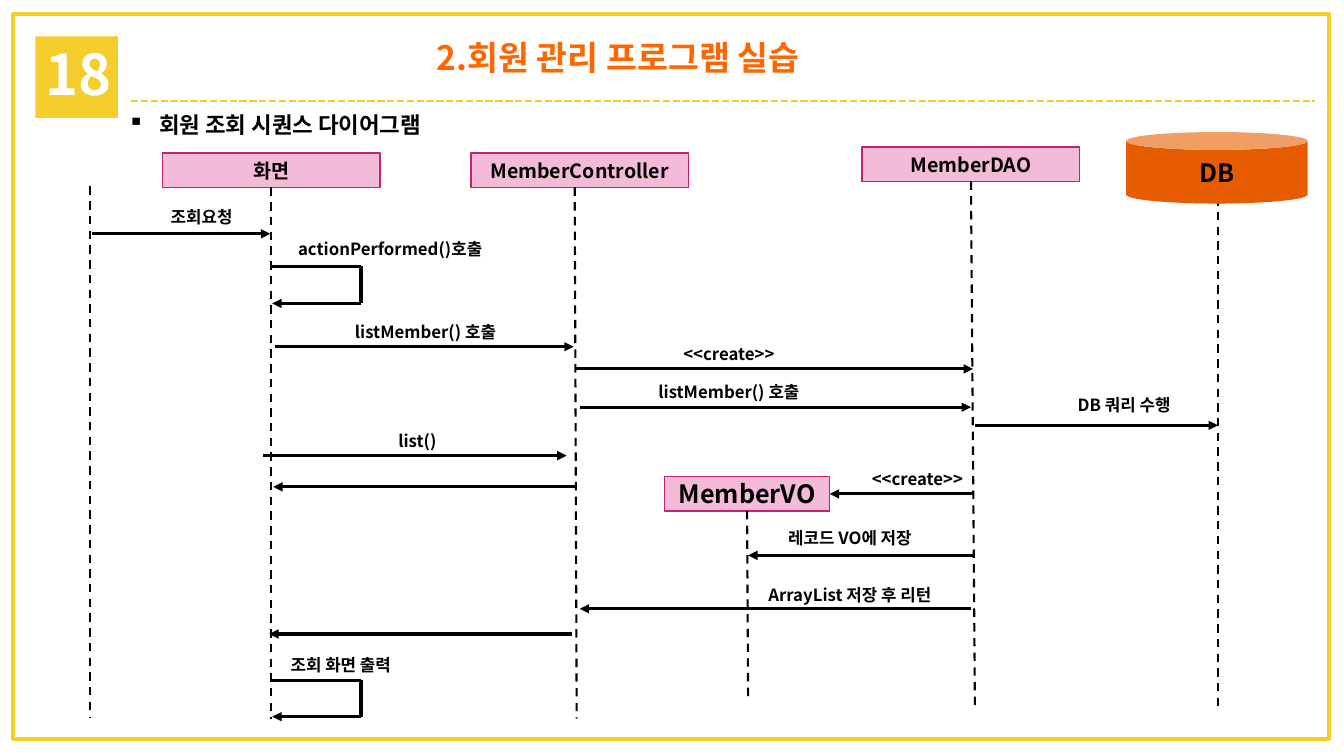
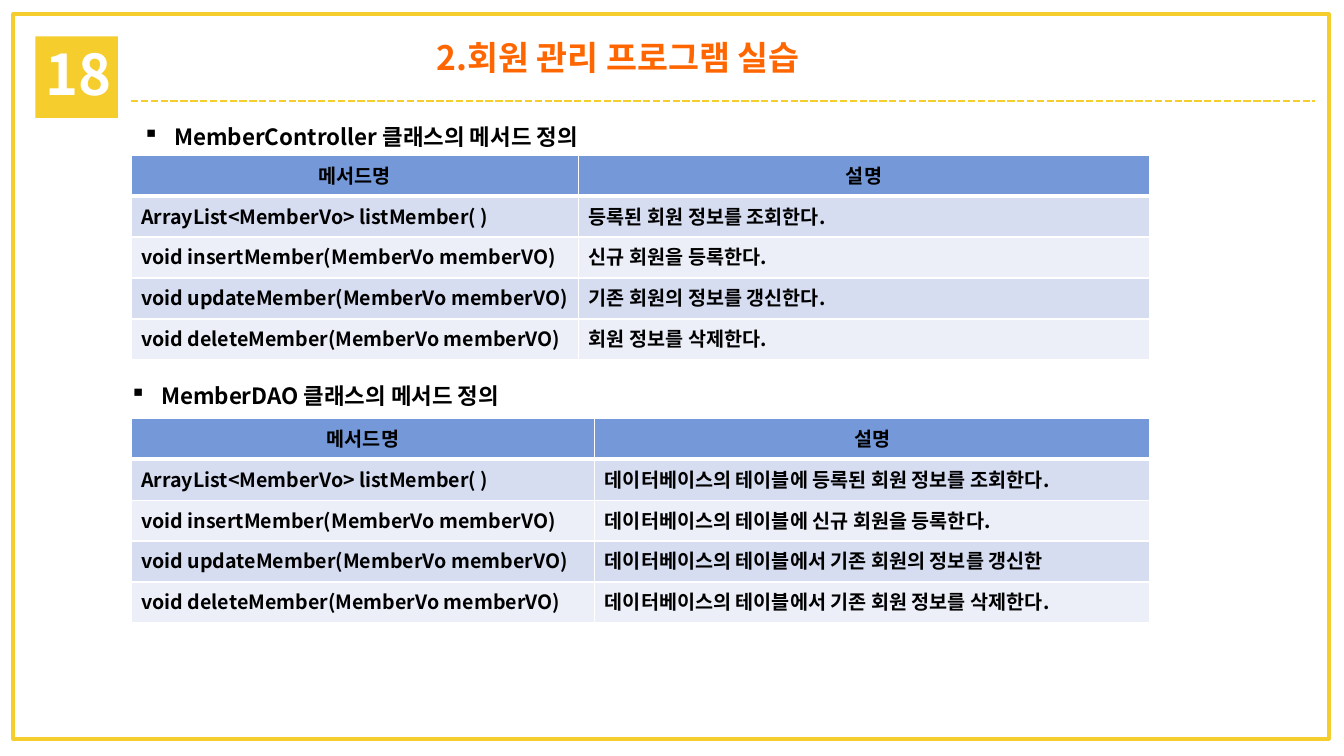
from dataclasses import dataclass

from lxml.etree import SubElement
from pptx import Presentation
from pptx.dml.color import RGBColor
from pptx.enum.dml import MSO_LINE
from pptx.enum.shapes import MSO_CONNECTOR, MSO_SHAPE
from pptx.enum.text import MSO_ANCHOR, MSO_AUTO_SIZE, PP_ALIGN
from pptx.oxml.ns import qn
from pptx.util import Inches, Pt

FONT = "Noto Sans CJK KR"
YELLOW, ORANGE, BLACK, WHITE = "F5CD2D", "FF6600", "000000", "FFFFFF"
PINK, MAGENTA, DB_ORANGE = "F3BBD7", "BF2371", "E75C01"
HEADER_BLUE, BAND_DARK, BAND_LIGHT = "7598D9", "D6DDF1", "ECEFF8"

TITLE = "2.회원 관리 프로그램 실습"
CHAPTER = "18"
BOTTOM, RIGHT = 2, 3

PARTICIPANTS = [
    ("화면", 1.11, 0.22, 2.16, 14, None, 2.19, 5.83),
    ("MemberController", 4.17, 0.22, 2.16, 14, 5.2, 5.22, 5.83),
    ("MemberDAO", 8.05, 0.16, 2.16, 14, None, 9.17, 5.75),
    ("MemberVO", 6.09, 3.43, 1.64, 18, None, 6.92, 5.63),
]
MESSAGES = [
    ("조회요청", 0.02, 0.7, 0.41, 2.18, 1.02),
    ("listMember() 호출", 2.24, 1.84, 2.23, 5.19, 2.14),
    ("<<create>>", 5.25, 2.06, 5.2, 9.15, 2.36),
    ("listMember() 호출", 5.25, 2.44, 5.25, 9.13, 2.74),
    ("DB 쿼리 수행", 9.17, 2.57, 9.17, 11.58, 2.92),
    ("list()", 2.16, 2.92, 2.11, 5.12, 3.22),
    ("레코드 VO에 저장", 6.45, 3.89, 9.17, 6.92, 4.21),
    ("ArrayList 저장 후 리턴", 6.45, 4.45, 9.13, 5.25, 4.74),
]
RETURNS = [(5.22, 2.21, 3.53), (5.17, 2.17, 4.99)]
SELF_CALLS = [
    ("actionPerformed()호출", 1.89, 1.02, 1.34, 1.71),
    ("조회 화면 출력", 1.4, 5.15, 5.45, 5.81),
]

METHODS = [
    "ArrayList<MemberVo> listMember( )",
    "void insertMember(MemberVo memberVO)",
    "void updateMember(MemberVo memberVO)",
    "void deleteMember(MemberVo memberVO)",
]
CONTROLLER_NOTES = [
    "등록된 회원 정보를 조회한다.",
    "신규 회원을 등록한다.",
    "기존 회원의 정보를 갱신한다.",
    "회원 정보를 삭제한다.",
]
DAO_NOTES = [
    "데이터베이스의 테이블에 등록된 회원 정보를 조회한다.",
    "데이터베이스의 테이블에 신규 회원을 등록한다.",
    "데이터베이스의 테이블에서 기존 회원의 정보를 갱신한",
    "데이터베이스의 테이블에서 기존 회원 정보를 삭제한다.",
]


@dataclass
class Box:
    left: float
    top: float
    width: float
    height: float

    def inner(self, left, top, width, height):
        return Box(self.left + left, self.top + top, width, height)

    def point(self, x, y):
        return self.left + x, self.top + y

    def emu(self):
        return [Inches(v) for v in (self.left, self.top, self.width, self.height)]


def rgb(value):
    return RGBColor.from_string(value)


def write(frame, text, size=12, color=BLACK, align=PP_ALIGN.LEFT,
          anchor=MSO_ANCHOR.TOP, bullet=None):
    frame.word_wrap = True
    frame.auto_size = MSO_AUTO_SIZE.NONE
    frame.vertical_anchor = anchor
    paragraph = frame.paragraphs[0]
    paragraph.alignment = align
    if bullet:
        properties = paragraph._p.get_or_add_pPr()
        properties.set("marL", str(Inches(0.31)))
        properties.set("indent", str(-Inches(0.31)))
        SubElement(properties, qn("a:buChar"), char=bullet)
    run = paragraph.add_run()
    run.text = text
    run.font.size = Pt(size)
    run.font.bold = True
    run.font.color.rgb = rgb(color)
    run.font.name = FONT
    SubElement(run._r.get_or_add_rPr(), qn("a:ea"), typeface=FONT)


def add_label(slide, box, text, **style):
    write(slide.shapes.add_textbox(*box.emu()).text_frame, text, **style)


def add_panel(slide, box, kind=MSO_SHAPE.RECTANGLE, fill=None, line=None, width=1):
    panel = slide.shapes.add_shape(kind, *box.emu())
    panel.shadow.inherit = False
    if fill:
        panel.fill.solid()
        panel.fill.fore_color.rgb = rgb(fill)
    else:
        panel.fill.background()
    if line:
        panel.line.color.rgb = rgb(line)
        panel.line.width = Pt(width)
    else:
        panel.line.fill.background()
    return panel


def add_line(slide, start, end, color=BLACK, width=2.25, dash=None, arrow=False):
    line = slide.shapes.add_connector(
        MSO_CONNECTOR.STRAIGHT, *[Inches(v) for v in (*start, *end)])
    line.line.color.rgb = rgb(color)
    line.line.width = Pt(width)
    if dash:
        line.line.dash_style = dash
    if arrow:
        SubElement(line.line._get_or_add_ln(), qn("a:tailEnd"), type="triangle")
    SubElement(line._element.spPr, qn("a:effectLst"))
    return line


def add_lifeline(slide, start, end):
    return add_line(slide, start, end, width=1.5, dash=MSO_LINE.DASH)


def add_page(deck, page):
    slide = deck.slides.add_slide(deck.slide_layouts[5])
    title = slide.shapes.title
    title.left, title.top, title.width, title.height = page.inner(1.43, 0.32, 9.4, 0.5).emu()
    write(title.text_frame, TITLE, size=24, color=ORANGE, align=PP_ALIGN.CENTER)
    add_panel(slide, page.inner(0.13, 0.14, 13.05, 7.19), line=YELLOW, width=2.5)
    add_panel(slide, page.inner(0.35, 0.36, 0.82, 0.81), fill=YELLOW)
    add_label(slide, page.inner(0.35, 0.34, 0.97, 0.77), CHAPTER, size=40, color=WHITE)
    add_line(slide, page.point(1.3, 1), page.point(13.04, 1), color=YELLOW,
             width=1.75, dash=MSO_LINE.SQUARE_DOT)
    return slide


def add_heading(slide, box, text):
    add_label(slide, box, text, size=16, bullet="▪")


def add_participants(slide, area):
    add_lifeline(slide, area.point(0.39, 0.55), area.point(0.39, 5.81))
    add_lifeline(slide, area.point(11.58, 0.51), area.point(11.58, 5.75))
    database = add_panel(slide, area.inner(10.67, 0.01, 1.8, 0.71),
                         kind=MSO_SHAPE.CAN, fill=DB_ORANGE)
    write(database.text_frame, "DB", size=18, align=PP_ALIGN.CENTER,
          anchor=MSO_ANCHOR.MIDDLE)
    heads = {}
    for name, left, top, width, size, line_x, foot_x, foot_y in PARTICIPANTS:
        head = add_panel(slide, area.inner(left, top, width, 0.34), fill=PINK, line=MAGENTA)
        head.text_frame.margin_top = head.text_frame.margin_bottom = 0
        write(head.text_frame, name, size=size, align=PP_ALIGN.CENTER,
              anchor=MSO_ANCHOR.MIDDLE)
        start = area.point(line_x or left + width / 2, top + 0.34)
        lifeline = add_lifeline(slide, start, area.point(foot_x, foot_y))
        if line_x is None:
            lifeline.begin_connect(head, BOTTOM)
        heads[name] = head
    return heads


def add_message(slide, area, label, left, top, start_x, end_x, y):
    add_label(slide, area.inner(left, top, 2.96, 0.3), label, align=PP_ALIGN.CENTER)
    return add_line(slide, area.point(start_x, y), area.point(end_x, y), arrow=True)


def add_self_call(slide, area, label, left, top, start_y, end_y):
    lifeline_x, turn_x = 2.2, 3.08
    add_line(slide, area.point(lifeline_x, start_y), area.point(turn_x, start_y))
    add_line(slide, area.point(turn_x, start_y), area.point(turn_x, end_y))
    add_message(slide, area, label, left, top, turn_x, lifeline_x, end_y)


def add_sequence(slide, area):
    heads = add_participants(slide, area)
    for message in MESSAGES:
        add_message(slide, area, *message)
    create = add_message(slide, area, "<<create>>", 7.12, 3.3, 9.15, 7.73, 3.6)
    create.end_connect(heads["MemberVO"], RIGHT)
    for start_x, end_x, y in RETURNS:
        add_line(slide, area.point(start_x, y), area.point(end_x, y), arrow=True)
    for call in SELF_CALLS:
        add_self_call(slide, area, *call)


def add_border(cell, side, width):
    border = SubElement(cell._tc.get_or_add_tcPr(), qn(f"a:ln{side}"), w=str(Pt(width)))
    fill = SubElement(border, qn("a:solidFill"))
    SubElement(fill, qn("a:srgbClr"), val=WHITE)


def add_method_table(slide, box, name_width, notes):
    rows = [("메서드명", "설명"), *zip(METHODS, notes)]
    table = slide.shapes.add_table(len(rows), 2, *box.emu()).table
    table.columns[0].width = Inches(name_width)
    table.columns[1].width = Inches(box.width - name_width)
    for r, texts in enumerate(rows):
        table.rows[r].height = Inches(box.height / len(rows))
        fill = HEADER_BLUE if r == 0 else BAND_DARK if r % 2 else BAND_LIGHT
        for c, text in enumerate(texts):
            cell = table.cell(r, c)
            for side, width in (("L", 1), ("R", 1), ("T", 3 if r == 1 else 1),
                                ("B", 3 if r == 0 else 1)):
                add_border(cell, side, width)
            cell.fill.solid()
            cell.fill.fore_color.rgb = rgb(fill)
            paragraph_align = PP_ALIGN.LEFT if r else PP_ALIGN.CENTER
            write_cell(cell, text, paragraph_align)


def write_cell(cell, text, align):
    frame = cell.text_frame
    paragraph = frame.paragraphs[0]
    paragraph.alignment = align
    run = paragraph.add_run()
    run.text = text
    run.font.size = Pt(14)
    run.font.bold = True
    run.font.color.rgb = rgb(BLACK)
    run.font.name = FONT
    SubElement(run._r.get_or_add_rPr(), qn("a:ea"), typeface=FONT)


def main():
    deck = Presentation()
    page = Box(0, 0, 13.33, 7.5)
    deck.slide_width, deck.slide_height = Inches(page.width), Inches(page.height)

    sequence = add_page(deck, page)
    add_heading(sequence, page.inner(1.17, 1.05, 10.48, 0.37), "회원 조회 시퀀스 다이어그램")
    add_sequence(sequence, page.inner(0.5, 1.3, 12.5, 5.85))

    methods = add_page(deck, page)
    add_heading(methods, page.inner(1.32, 1.17, 5.27, 0.37),
                "MemberController 클래스의 메서드 정의")
    add_method_table(methods, page.inner(1.3, 1.54, 10.1, 2.03), 4.44, CONTROLLER_NOTES)
    add_heading(methods, page.inner(1.19, 3.74, 5.27, 0.37), "MemberDAO 클래스의 메서드 정의")
    add_method_table(methods, page.inner(1.3, 4.15, 10.1, 2.03), 4.6, DAO_NOTES)

    deck.save("out.pptx")


if __name__ == "__main__":
    main()
